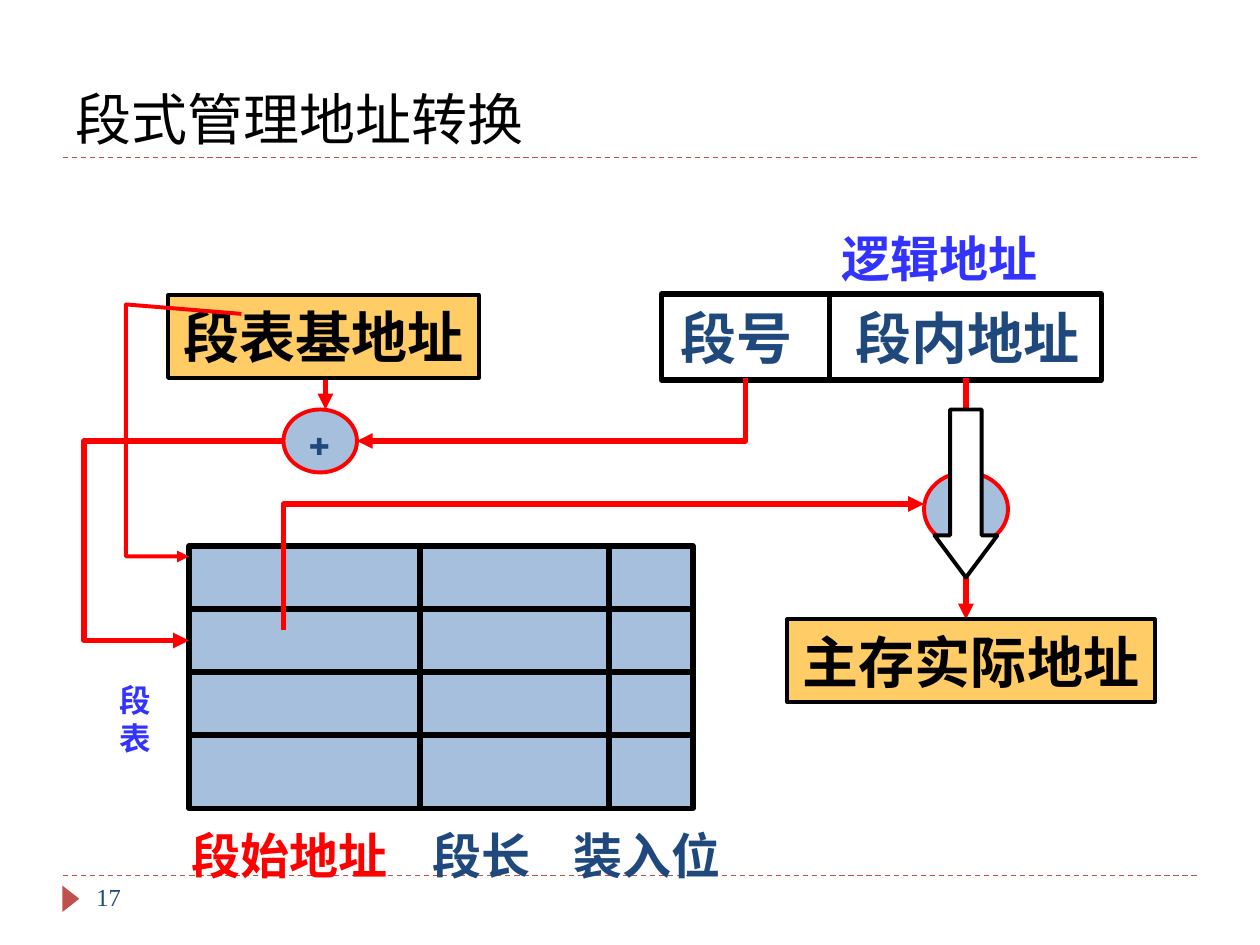
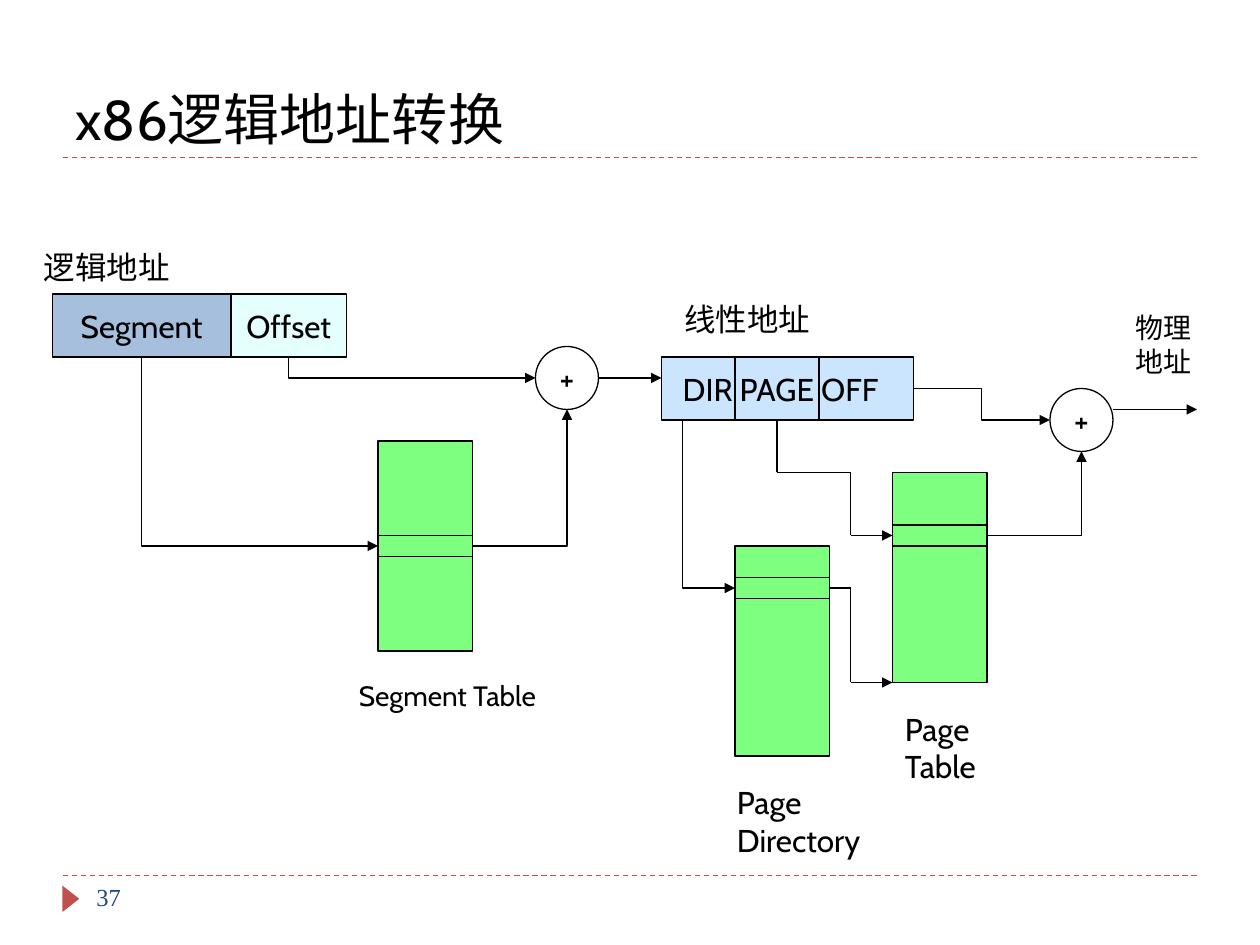
from lxml import etree
from pptx import Presentation
from pptx.dml.color import RGBColor
from pptx.enum.dml import MSO_LINE
from pptx.enum.shapes import MSO_CONNECTOR, MSO_SHAPE
from pptx.enum.text import MSO_ANCHOR, PP_ALIGN
from pptx.oxml.ns import qn
from pptx.util import Cm, Pt

RECTANGLE, OVAL = MSO_SHAPE.RECTANGLE, MSO_SHAPE.OVAL
TRIANGLE, DOWN_ARROW = MSO_SHAPE.ISOSCELES_TRIANGLE, MSO_SHAPE.DOWN_ARROW
STRAIGHT, ELBOW = MSO_CONNECTOR.STRAIGHT, MSO_CONNECTOR.ELBOW
LEFT, CENTER = PP_ALIGN.LEFT, PP_ALIGN.CENTER
TOP, MIDDLE, BOTTOM = MSO_ANCHOR.TOP, MSO_ANCHOR.MIDDLE, MSO_ANCHOR.BOTTOM

BLACK = RGBColor(0x00, 0x00, 0x00)
WHITE = RGBColor(0xFF, 0xFF, 0xFF)
RED = RGBColor(0xFF, 0x00, 0x00)
BRICK = RGBColor(0xC0, 0x50, 0x4D)
NAVY = RGBColor(0x1F, 0x49, 0x7D)
VIOLET = RGBColor(0x33, 0x33, 0xFF)
STEEL = RGBColor(0x4F, 0x81, 0xBD)
AMBER = RGBColor(0xFF, 0xCC, 0x66)
CYAN = RGBColor(0xCC, 0xFF, 0xFF)
SKY = RGBColor(0x99, 0xCC, 0xFF)
GREEN = RGBColor(0x00, 0xFF, 0x00)

BODY_FONT, NUMBER_FONT = "Cabin", "Times New Roman"

# All positions count grid steps; 120 steps span the slide width.
STEP = 25.4 / 120

# Slide 1: segment translation
SEGMENT_TITLE, SEGMENT_NUMBER = "段式管理地址转换", "17"
ADDRESS_BOX = (63, 28, 41.9, 8.2)
ADDRESS_DIVIDER = 79
SEGMENT_GRID = (18, 52, 48, 25)
GRID_ROWS = (58, 64, 70)
GRID_COLUMNS = (40, 58)
ADDRESS_BOXES = [("主存实际地址", (75, 59, 35, 7.9)), ("段表基地址", (16, 28.1, 29.6, 7.9))]
SUM_ARROWS = [[(31, 35), (31, 39)], [(92, 36), (92, 45)], [(92, 52), (92, 59)]]
RED_PATHS = [
    ([(71, 36), (71, 42), (34, 42)], 3),
    ([(27, 42), (8, 42), (8, 61), (18, 61)], 3),
    ([(27, 60), (27, 48), (88, 48)], 3),
]
BASE_PATH = [(23, 29.9), (12, 29), (12, 53), (18, 53)]

# Slide 2: x86 translation
X86_TITLE, X86_NUMBER = "x86逻辑地址转换", "37"
FIELDS = [
    ("Segment", (5, 28, 17, 6), STEEL),
    ("Offset", (22, 28, 11, 6), CYAN),
]
LINEAR_BOX = (63, 34, 24, 6)
LINEAR_DIVIDERS = (70, 78)
TABLE_SIZE = (9, 20)
TABLES = [  # left, top, top of the selected entry, bottom of the selected entry
    (36, 42, 51, 53),
    (70, 52, 55, 57),
    (85, 45, 50, 52),
]
ADDERS = [(51, 33, 6, 6), (100, 37, 6, 6)]
CAPTIONS = [
    ("逻辑地址", (3, 23, 23, 4.8), 18),
    ("Segment Table", (33, 64, 20, 4.4), 16),
    ("线性地址", (64, 28, 15, 4.8), 18),
    ("物理地址", (107, 29, 10, 7.7), 16),
    ("Page Directory", (69, 74, 17.4, 8.4), 18),
    ("Page Table", (85, 67, 10, 8.4), 18),
]
DOWN_THEN_RIGHT = [((13.5, 34), (36, 52)), ((27.5, 34), (51, 36)), ((65, 40), (70, 56))]
RIGHT_THEN_UP = [((45, 52), (54, 39)), ((94, 51), (103, 43))]
OFFSET_ELBOW = ((87, 37), (100, 40))
ROUTES = [
    [(57, 36), (63, 36)],
    [(79, 56), (81, 56), (81, 65), (85, 65)],
    [(74, 40), (74, 45), (81, 45), (81, 51), (85, 51)],
    [(106, 39), (114, 39)],
]


def grid(*steps):
    return [Cm(step * STEP) for step in steps]


def add_arrowhead(line):
    etree.SubElement(line._get_or_add_ln(), qn("a:tailEnd"), type="triangle")


def add_connector(slide, start, end, color=BLACK, width=0.75, arrow=False,
                  dash=None, kind=STRAIGHT):
    connector = slide.shapes.add_connector(kind, *grid(*start, *end))
    connector.line.color.rgb = color
    connector.line.width = Pt(width)
    if dash is not None:
        connector.line.dash_style = dash
    if arrow:
        add_arrowhead(connector.line)
    etree.SubElement(connector._element.spPr, qn("a:effectLst"))
    return connector


def add_corner(slide, start, end, down_first):
    """Draw a connector with one bend; it runs down first or sideways first."""
    if down_first:
        # The unrotated frame swaps width and height about the same centre.
        (left, top), (right, bottom) = start, end
        center_x, center_y = (left + right) / 2, (top + bottom) / 2
        half_width, half_height = (bottom - top) / 2, (right - left) / 2
        start = center_x - half_width, center_y - half_height
        end = center_x + half_width, center_y + half_height
    connector = add_connector(slide, start, end, arrow=True, kind=ELBOW)
    properties = connector._element.spPr
    properties.find(qn("a:prstGeom")).set("prst", "bentConnector2")
    if down_first:
        frame = properties.find(qn("a:xfrm"))
        frame.set("rot", str(270 * 60000))
        frame.set("flipH", "1")


def add_route(slide, points):
    """Join points with straight lines, the last one an arrow."""
    last = len(points) - 2
    for index, (start, end) in enumerate(zip(points, points[1:])):
        add_connector(slide, start, end, arrow=index == last)


def add_path(slide, points, width):
    start, *others = [grid(*point) for point in points]
    builder = slide.shapes.build_freeform(*start)
    builder.add_line_segments(others, close=False)
    shape = builder.convert_to_shape()
    shape.shadow.inherit = False
    shape.fill.background()
    shape.line.color.rgb = RED
    shape.line.width = Pt(width)
    add_arrowhead(shape.line)


def add_shape(slide, kind, box, fill=None, line=None, width=0.75, half_clear=False):
    shape = slide.shapes.add_shape(kind, *grid(*box))
    shape.shadow.inherit = False
    if fill is None:
        shape.fill.background()
    else:
        shape.fill.solid()
        shape.fill.fore_color.rgb = fill
        if half_clear:
            color = shape.fill._xPr.find(".//" + qn("a:srgbClr"))
            etree.SubElement(color, qn("a:alpha"), val="50000")
    if line is None:
        shape.line.fill.background()
    else:
        shape.line.color.rgb = line
        shape.line.width = Pt(width)
    return shape


def write(shape, runs, size, color=BLACK, bold=False, align=CENTER, anchor=MIDDLE,
          wrap=False, font=BODY_FONT, tabs=()):
    """Fill a shape; runs holds (text, colour) pairs or is a plain text."""
    frame = shape.text_frame
    frame.word_wrap = wrap
    frame.vertical_anchor = anchor
    if isinstance(runs, str):
        frame.text = runs
    else:
        for text, run_color in runs:
            run = frame.paragraphs[0].add_run()
            run.text = text
            run.font.color.rgb = run_color
    for paragraph in frame.paragraphs:
        paragraph.alignment = align
        if tabs:
            stops = etree.SubElement(paragraph._p.get_or_add_pPr(), qn("a:tabLst"))
            for tab in tabs:
                etree.SubElement(stops, qn("a:tab"), pos=str(Cm(tab)), algn="l")
        paragraph.font.name = font
        paragraph.font.size = Pt(size)
        paragraph.font.bold = bold
        paragraph.font.color.rgb = color


def add_text(slide, box, runs, size, **style):
    textbox = slide.shapes.add_textbox(*grid(*box))
    write(textbox, runs, size, wrap=True, **style)
    return textbox


def add_base_slide(presentation, title, number):
    slide = presentation.slides.add_slide(presentation.slide_layouts[6])
    for y in (83.4, 15):
        add_connector(slide, (6, y), (114, y), BRICK, dash=MSO_LINE.DASH)
    add_shape(slide, TRIANGLE, (5.5, 84.8, 2.5, 1.6), BRICK).rotation = 90
    add_text(slide, (6, 2, 108, 13), title, 32, align=LEFT, anchor=BOTTOM)
    add_text(slide, (8, 83.4, 26, 4.8), number, 14, color=NAVY, align=LEFT,
             anchor=TOP, font=NUMBER_FONT)
    return slide


def build_segment_slide(presentation):
    slide = add_base_slide(presentation, SEGMENT_TITLE, SEGMENT_NUMBER)
    address = add_shape(slide, RECTANGLE, ADDRESS_BOX, line=BLACK, width=3)
    address.text_frame.margin_left = Cm(0.39)
    address.text_frame.margin_right = 0
    write(address, "段号\t段内地址", 32, NAVY, bold=True, align=LEFT, wrap=True, tabs=[3.53])

    add_shape(slide, RECTANGLE, SEGMENT_GRID, STEEL, BLACK, 3, half_clear=True)
    left, top, width, height = SEGMENT_GRID
    rules = [((left, y), (left + width, y)) for y in GRID_ROWS]
    rules += [((x, top), (x, top + height)) for x in GRID_COLUMNS]
    rules.append(((ADDRESS_DIVIDER, 28), (ADDRESS_DIVIDER, 36)))
    for start, end in rules:
        add_connector(slide, start, end, width=3)

    adder = add_shape(slide, OVAL, (27, 39, 7, 6), STEEL, RED, 2.25, half_clear=True)
    write(adder, "+", 28, NAVY, bold=True)
    add_shape(slide, OVAL, (88, 45, 8, 7), STEEL, RED, 2.25, half_clear=True)
    for start, end in SUM_ARROWS:
        add_connector(slide, start, end, RED, 3, arrow=True)

    add_text(slide, (77, 21.2, 25, 6.8), "逻辑地址", 28, color=VIOLET, bold=True)
    headings = add_text(slide, (14, 78, 59, 6.8), [("段始地址", RED), ("\t段长\t装入位", NAVY)],
                        28, bold=True, align=LEFT, tabs=[4.85, 7.7])
    headings.text_frame.margin_left = Cm(0.9)
    label = add_shape(slide, RECTANGLE, (9.6, 63.1, 6.5, 10.8), WHITE)
    write(label, "段\n表", 18, VIOLET, bold=True)
    for text, box in ADDRESS_BOXES:
        write(add_shape(slide, RECTANGLE, box, AMBER, BLACK, 2.25), text, 32, bold=True)

    for points, width in RED_PATHS:
        add_path(slide, points, width)
    arrow = add_shape(slide, DOWN_ARROW, (89, 39, 6, 16), WHITE, BLACK, 2.25)
    arrow.adjustments[0] = 0.5
    arrow.adjustments[1] = 0.67
    add_path(slide, BASE_PATH, 2.25)


def build_x86_slide(presentation):
    slide = add_base_slide(presentation, X86_TITLE, X86_NUMBER)
    for text, box, fill in FIELDS:
        write(add_shape(slide, RECTANGLE, box, fill, BLACK, half_clear=True), text, 18)
    linear = add_shape(slide, RECTANGLE, LINEAR_BOX, SKY, BLACK, half_clear=True)
    linear.text_frame.margin_right = Cm(0.53)
    write(linear, "DIR PAGE OFF", 18)
    for x in LINEAR_DIVIDERS:
        add_connector(slide, (x, 34), (x, 40))

    for left, top, *entry in TABLES:
        add_shape(slide, RECTANGLE, (left, top, *TABLE_SIZE), GREEN, BLACK, half_clear=True)
        for y in entry:
            add_connector(slide, (left, y), (left + TABLE_SIZE[0], y))
    for box in ADDERS:
        write(add_shape(slide, OVAL, box, WHITE, BLACK), "+", 18)

    for start, end in DOWN_THEN_RIGHT:
        add_corner(slide, start, end, down_first=True)
    for start, end in RIGHT_THEN_UP:
        add_corner(slide, start, end, down_first=False)
    add_connector(slide, *OFFSET_ELBOW, arrow=True, kind=ELBOW)
    for points in ROUTES:
        add_route(slide, points)
    for text, box, size in CAPTIONS:
        add_text(slide, box, text, size, align=LEFT, anchor=TOP)


def main():
    presentation = Presentation()
    presentation.slide_width, presentation.slide_height = Cm(25.4), Cm(19.05)
    build_segment_slide(presentation)
    build_x86_slide(presentation)
    presentation.save("out.pptx")


if __name__ == "__main__":
    main()
